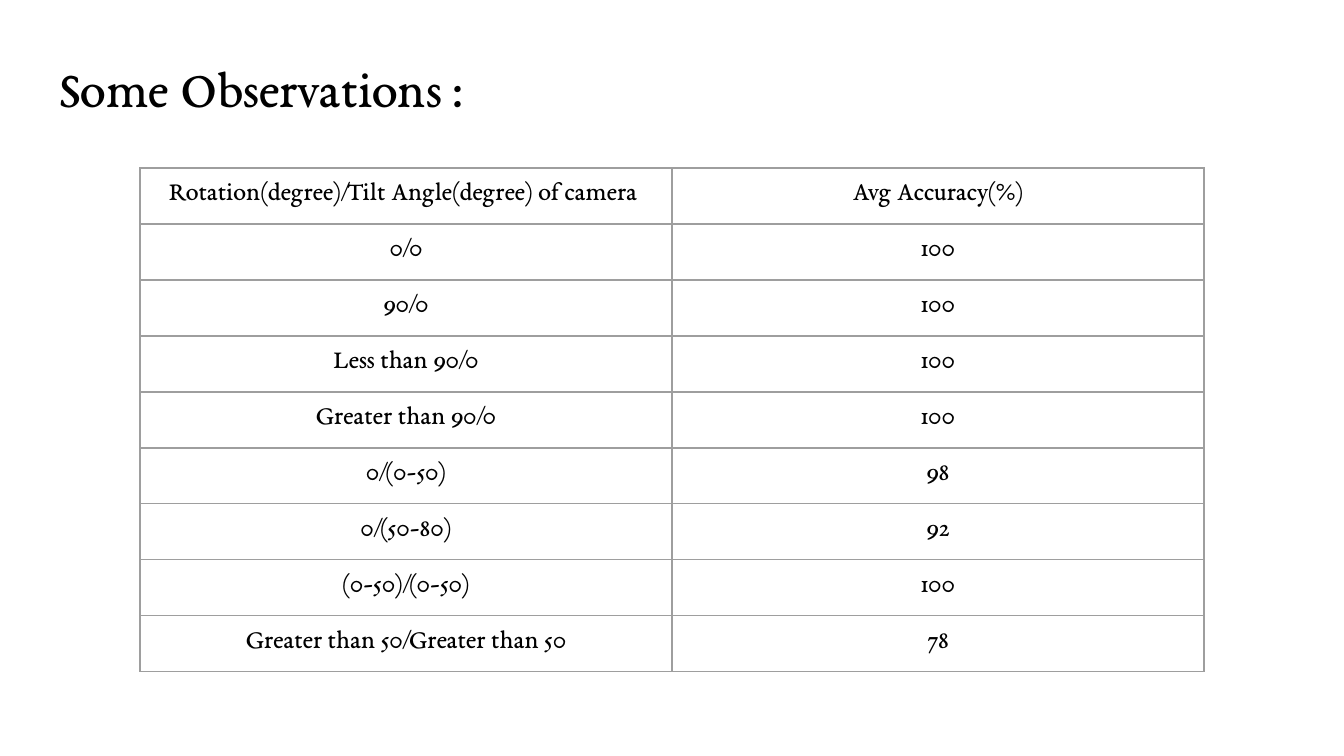
from dataclasses import dataclass

from lxml.etree import SubElement
from pptx import Presentation
from pptx.dml.color import RGBColor
from pptx.enum.text import MSO_ANCHOR, MSO_AUTO_SIZE, PP_ALIGN
from pptx.oxml.ns import qn
from pptx.util import Emu, Inches, Pt


@dataclass(frozen=True)
class Theme:
    font: str = "EB Garamond"
    ink: str = "000000"
    grid: str = "9E9E9E"
    title_size: int = 28
    cell_size: int = 14
    grid_width: float = 0.75
    inset: int = Inches(0.1)


THEME = Theme()

OBSERVATIONS = [
    ("Rotation(degree)/Tilt Angle(degree) of camera ", "Avg Accuracy(%)"),
    ("0/0", "100"),
    ("90/0", "100"),
    ("Less than 90/0", "100"),
    ("Greater than 90/0", "100"),
    ("0/(0-50)", "98"),
    ("0/(50-80)", "92"),
    ("(0-50)/(0-50)", "100"),
    ("Greater than 50/Greater than 50", "78"),
]


def px(n):
    """Turn pixels (96 to the inch) into EMU."""
    return Emu(n * 9525)


def write(tf, text, *, size, align=PP_ALIGN.LEFT, color=THEME.ink):
    """Put one formatted paragraph into a text frame."""
    p = tf.paragraphs[0]
    p.alignment = align
    r = p.add_run()
    r.text = text
    r.font.name = THEME.font
    r.font.size = Pt(size)
    r.font.color.rgb = RGBColor.from_string(color)


def set_insets(box):
    box.margin_left = box.margin_right = THEME.inset
    box.margin_top = box.margin_bottom = THEME.inset
    box.vertical_anchor = MSO_ANCHOR.TOP


def set_borders(cell):
    """Outline all four sides of a cell; borders must precede the fill."""
    tc_pr = cell._tc.get_or_add_tcPr()
    for side in ("a:lnL", "a:lnR", "a:lnT", "a:lnB"):
        ln = SubElement(tc_pr, qn(side), w=str(Pt(THEME.grid_width)))
        fill = SubElement(ln, qn("a:solidFill"))
        SubElement(fill, qn("a:srgbClr"), val=THEME.grid)


def add_title(slide, text, x, y, w, h):
    sp = slide.shapes.title
    sp.left, sp.top, sp.width, sp.height = map(px, (x, y, w, h))
    tf = sp.text_frame
    tf.word_wrap = True
    tf.auto_size = MSO_AUTO_SIZE.NONE
    set_insets(tf)
    write(tf, text, size=THEME.title_size)


def add_observations(slide, rows, x, y, w, h):
    n_rows, n_cols = len(rows), len(rows[0])
    frame = slide.shapes.add_table(n_rows, n_cols, *map(px, (x, y, w, h)))
    table = frame.table
    table.first_row = table.horz_banding = False

    # Equal columns and rows
    for col in table.columns:
        col.width = px(w // n_cols)
    for row in table.rows:
        row.height = px(h // n_rows)

    # Cell text, borders and clear fill
    for row, texts in zip(table.rows, rows):
        for cell, text in zip(row.cells, texts):
            set_insets(cell)
            write(cell.text_frame, text, size=THEME.cell_size,
                  align=PP_ALIGN.CENTER)
            set_borders(cell)
            cell.fill.background()


def main():
    prs = Presentation()
    prs.slide_width, prs.slide_height = px(960), px(540)
    slide = prs.slides.add_slide(prs.slide_layouts[5])  # Title Only

    add_title(slide, "Some Observations :", 33, 30, 895, 60)
    add_observations(slide, OBSERVATIONS, 100, 120, 760, 360)

    prs.save("out.pptx")


if __name__ == "__main__":
    main()
